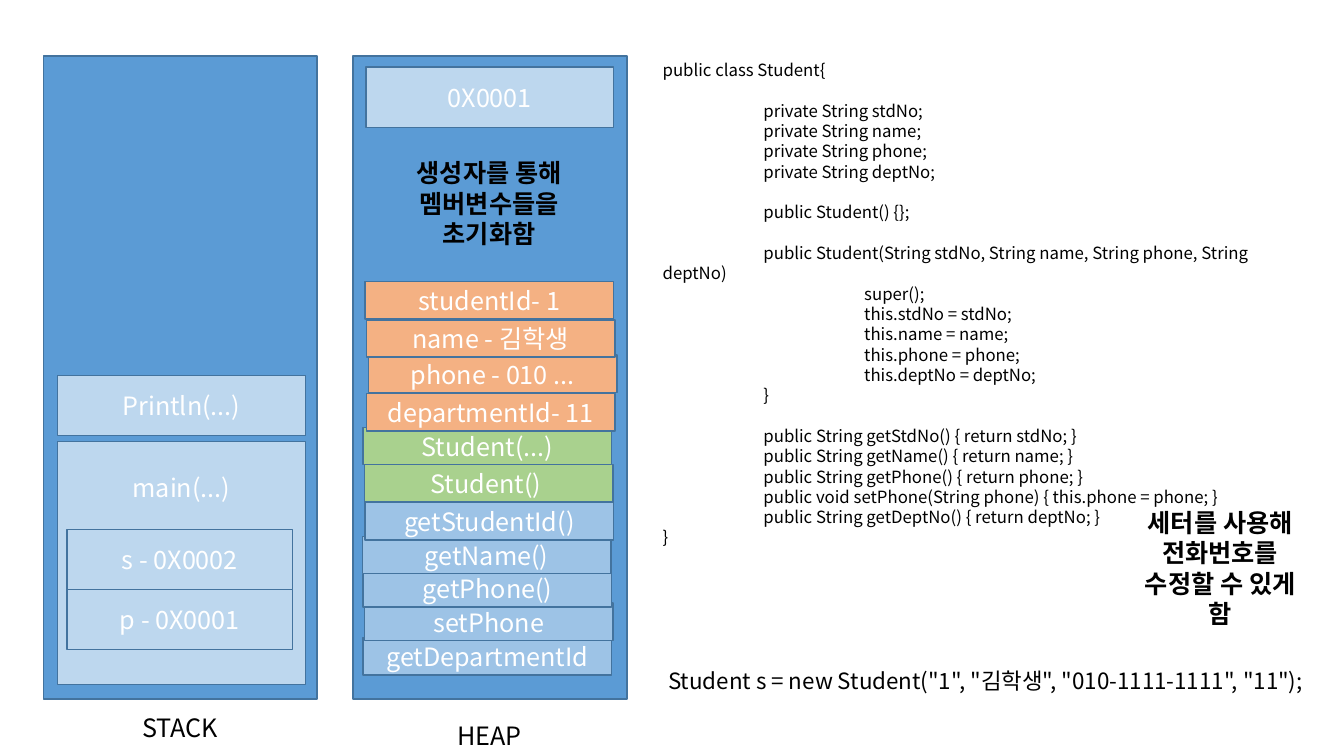
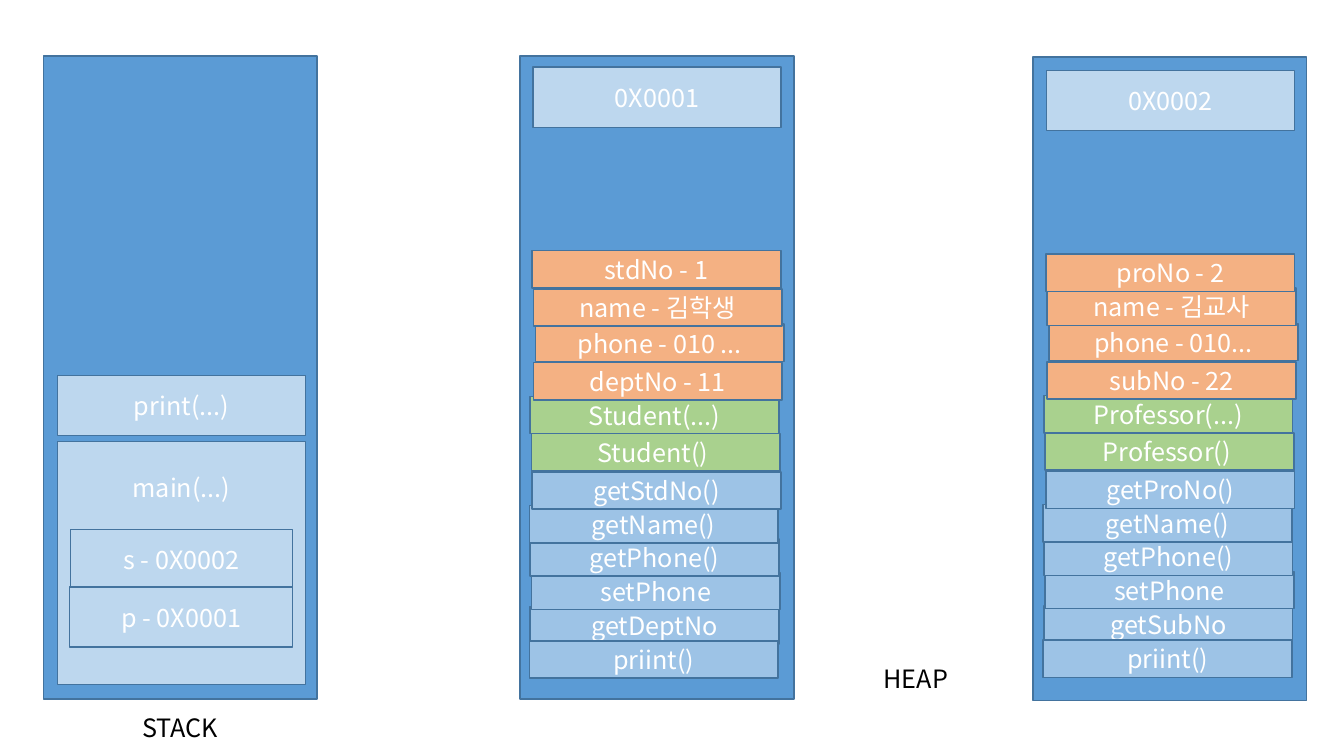
from dataclasses import dataclass

import pptx
import pptx.dml.color
import pptx.enum.shapes
import pptx.enum.text
import pptx.oxml.ns
import pptx.util
from lxml import etree

Cm = pptx.util.Cm
Pt = pptx.util.Pt
RGBColor = pptx.dml.color.RGBColor
ALIGN = pptx.enum.text.PP_ALIGN
ANCHOR = pptx.enum.text.MSO_ANCHOR
qn = pptx.oxml.ns.qn

# Shared look
FONT = "Noto Sans CJK KR"
LINE_FACTOR = 1.21
PANEL = RGBColor(0x5B, 0x9B, 0xD5)
PALE = RGBColor(0xBD, 0xD7, 0xEE)
METHOD = RGBColor(0x9D, 0xC3, 0xE6)
CONSTRUCTOR = RGBColor(0xA9, 0xD1, 0x8E)
FIELD = RGBColor(0xF4, 0xB1, 0x83)
OUTLINE = RGBColor(0x43, 0x73, 0x9E)
WHITE = RGBColor(0xFF, 0xFF, 0xFF)
BLACK = RGBColor(0x00, 0x00, 0x00)

# Shared sizes in centimetres
PANEL_W, PANEL_H, PANEL_TOP = 6.90, 16.21, 1.41
FRAME_W, FRAME_H = 6.25, 1.52
ROW_W, ROW_H = 6.27, 0.94
LABEL_H = 1.04
STACK_LEFT = 1.09
TAB = 2.54

# Member rows: 4 fields, 2 constructors, then methods
ROW_FILLS = [FIELD] * 4 + [CONSTRUCTOR] * 2 + [METHOD] * 6
ROW_DX = [0.30, 0.33, 0.38, 0.33, 0.25, 0.28, 0.30, 0.23, 0.25, 0.28, 0.25, 0.23]
ROW_DY = [0, 0.96, 1.85, 2.82, 3.67, 4.61, 5.57, 6.42, 7.26, 8.10, 8.97, 9.83]
LAST_GETTER = 10


@dataclass
class HeapObject:
    left: float
    rows_top: float
    address: str
    members: list[str]
    top: float = PANEL_TOP
    address_dy: float = 0.28
    shift: float = 0
    first_drop: float = 0


@dataclass
class Variable:
    text: str
    left: float
    top: float
    width: float


STUDENT_BY_ID = HeapObject(8.90, 7.10, "0X0001", [
    "studentId- 1", "name - 김학생", "phone - 010 ...", "departmentId- 11",
    "Student(...)", "Student() ", "getStudentId()", "getName()",
    "getPhone()", "setPhone", "getDepartmentId"])
STUDENT = HeapObject(13.11, 6.32, "0X0001", [
    "stdNo - 1", "name - 김학생", "phone - 010 ...", "deptNo - 11",
    "Student(...)", "Student() ", "getStdNo()", "getName()",
    "getPhone()", "setPhone", "getDeptNo", "priint()"])
PROFESSOR = HeapObject(26.03, 6.30, "0X0002", [
    "proNo - 2", "name - 김교사", "phone - 010...", "subNo - 22",
    "Professor(...)", "Professor() ", "getProNo()", "getName()",
    "getPhone()", "setPhone", "getSubNo", "priint()"],
    top=1.44, address_dy=0.33, shift=0.03, first_drop=0.10)

# Code listing, one inner list per block
CODE = [
    ["public class Student{"],
    ["\tprivate String stdNo;",
     "\tprivate String name;",
     "\tprivate String phone;",
     "\tprivate String deptNo;"],
    ["\tpublic Student() {};"],
    ["\tpublic Student(String stdNo, String name, String phone, String deptNo)",
     "\t\tsuper();",
     "\t\tthis.stdNo = stdNo;",
     "\t\tthis.name = name;",
     "\t\tthis.phone = phone;",
     "\t\tthis.deptNo = deptNo;",
     "\t}"],
    ["\tpublic String getStdNo() { return stdNo; }",
     "\tpublic String getName() { return name; }",
     "\tpublic String getPhone() { return phone; }",
     "\tpublic void setPhone(String phone) { this.phone = phone; }",
     "\tpublic String getDeptNo() { return deptNo; }",
     "}"],
]


def set_tabs(p, count: int) -> None:
    """Give a paragraph evenly spaced left tab stops."""
    tabs = etree.SubElement(p._p.get_or_add_pPr(), qn("a:tabLst"))
    for n in range(1, count + 1):
        etree.SubElement(tabs, qn("a:tab"), pos=str(Cm(TAB * n)), algn="l")


def write(tf, blocks: list[list[str]], *, size: float = 18, color=BLACK,
          bold: bool = False, align=ALIGN.CENTER, anchor=ANCHOR.TOP) -> None:
    """Write blocks of lines, one line of space between blocks."""
    tf.word_wrap = True
    tf.vertical_anchor = anchor
    pitch = Pt(round(size * LINE_FACTOR, 1))
    p = None
    for b, block in enumerate(blocks):
        for i, line in enumerate(block):
            p = tf.paragraphs[0] if p is None else tf.add_paragraph()
            p.alignment = align
            p.line_spacing = pitch
            p.space_before = pitch if b and i == 0 else Pt(0)
            if "\t" in line:
                set_tabs(p, line.count("\t"))
            r = p.add_run()
            r.text = line
            r.font.size = Pt(size)
            r.font.name = FONT
            r.font.bold = bold
            r.font.color.rgb = color
            etree.SubElement(r.font._element, qn("a:ea"), typeface=FONT)


def add_box(s, left: float, top: float, width: float, height: float, fill,
            text: str = "", anchor=ANCHOR.MIDDLE):
    sp = s.shapes.add_shape(pptx.enum.shapes.MSO_SHAPE.RECTANGLE,
                            Cm(left), Cm(top), Cm(width), Cm(height))
    sp.shadow.inherit = False
    sp.fill.solid()
    sp.fill.fore_color.rgb = fill
    sp.line.color.rgb = OUTLINE
    sp.line.width = Pt(1)
    if text:
        write(sp.text_frame, [[text]], color=WHITE, anchor=anchor)
    return sp


def add_text(s, left: float, top: float, width: float, height: float,
             blocks: list[list[str]], **fmt) -> None:
    sp = s.shapes.add_textbox(Cm(left), Cm(top), Cm(width), Cm(height))
    write(sp.text_frame, blocks, **fmt)


def add_stack(s, call: str, variables: list[Variable]) -> None:
    add_box(s, STACK_LEFT, PANEL_TOP, PANEL_W, PANEL_H, PANEL)
    add_box(s, 1.45, 9.46, FRAME_W, FRAME_H, PALE, call)
    main = add_box(s, 1.45, 11.13, FRAME_W, 6.12, PALE, "main(...)", ANCHOR.TOP)
    main.text_frame.margin_top = Cm(0.77)
    for v in variables:
        add_box(s, v.left, v.top, v.width, FRAME_H, PALE, v.text)
    add_text(s, 2.31, 17.83, 4.47, LABEL_H, [["STACK"]])


def add_heap_object(s, obj: HeapObject) -> None:
    add_box(s, obj.left, obj.top, PANEL_W, PANEL_H, PANEL)
    add_box(s, obj.left + 0.32 + obj.shift, obj.top + obj.address_dy,
            FRAME_W, FRAME_H, PALE, obj.address)
    # Upper rows overlap lower ones; the print row lies on top
    rows = list(zip(obj.members, ROW_FILLS, ROW_DX, ROW_DY))
    for text, fill, dx, dy in rows[LAST_GETTER::-1] + rows[LAST_GETTER + 1:]:
        drop = obj.first_drop if dy == 0 else 0
        add_box(s, obj.left + obj.shift + dx, obj.rows_top + dy + drop,
                ROW_W, ROW_H, fill, text)


def add_heap_label(s, left: float, top: float) -> None:
    add_text(s, left, top, 4.90, LABEL_H, [["HEAP"]])


def build_code_slide(s) -> None:
    add_stack(s, "Println(...)", [Variable("s - 0X0002", 1.69, 13.34, 5.69),
                                  Variable("p - 0X0001", 1.69, 14.85, 5.69)])
    add_heap_object(s, STUDENT_BY_ID)
    add_heap_label(s, 9.88, 18.01)
    # Class listing and call
    add_text(s, 16.45, 1.38, 16.87, 12.57, CODE, size=12, align=ALIGN.LEFT)
    add_text(s, 16.59, 16.69, 17.27, 0.94,
             [['Student s = new Student("1", "김학생", "010-1111-1111", "11");']],
             size=16, align=ALIGN.LEFT)
    # Remarks
    add_text(s, 9.91, 3.84, 4.83, 2.57,
             [["생성자를 통해 멤버변수들을 초기화함"]], bold=True)
    add_text(s, 28.32, 12.65, 4.86, 2.57,
             [["세터를 사용해 전화번호를 수정할 수 있게 함"]], bold=True)


def build_objects_slide(s) -> None:
    add_stack(s, "print(...)", [Variable("s - 0X0002", 1.78, 13.34, 5.59),
                                Variable("p - 0X0001", 1.76, 14.79, 5.61)])
    for obj in (STUDENT, PROFESSOR):
        add_heap_object(s, obj)
    add_heap_label(s, 20.63, 16.59)


def main() -> None:
    prs = pptx.Presentation()
    prs.slide_width, prs.slide_height = Cm(33.87), Cm(19.05)
    for build in (build_code_slide, build_objects_slide):
        build(prs.slides.add_slide(prs.slide_layouts[6]))
    prs.save("out.pptx")


if __name__ == "__main__":
    main()
